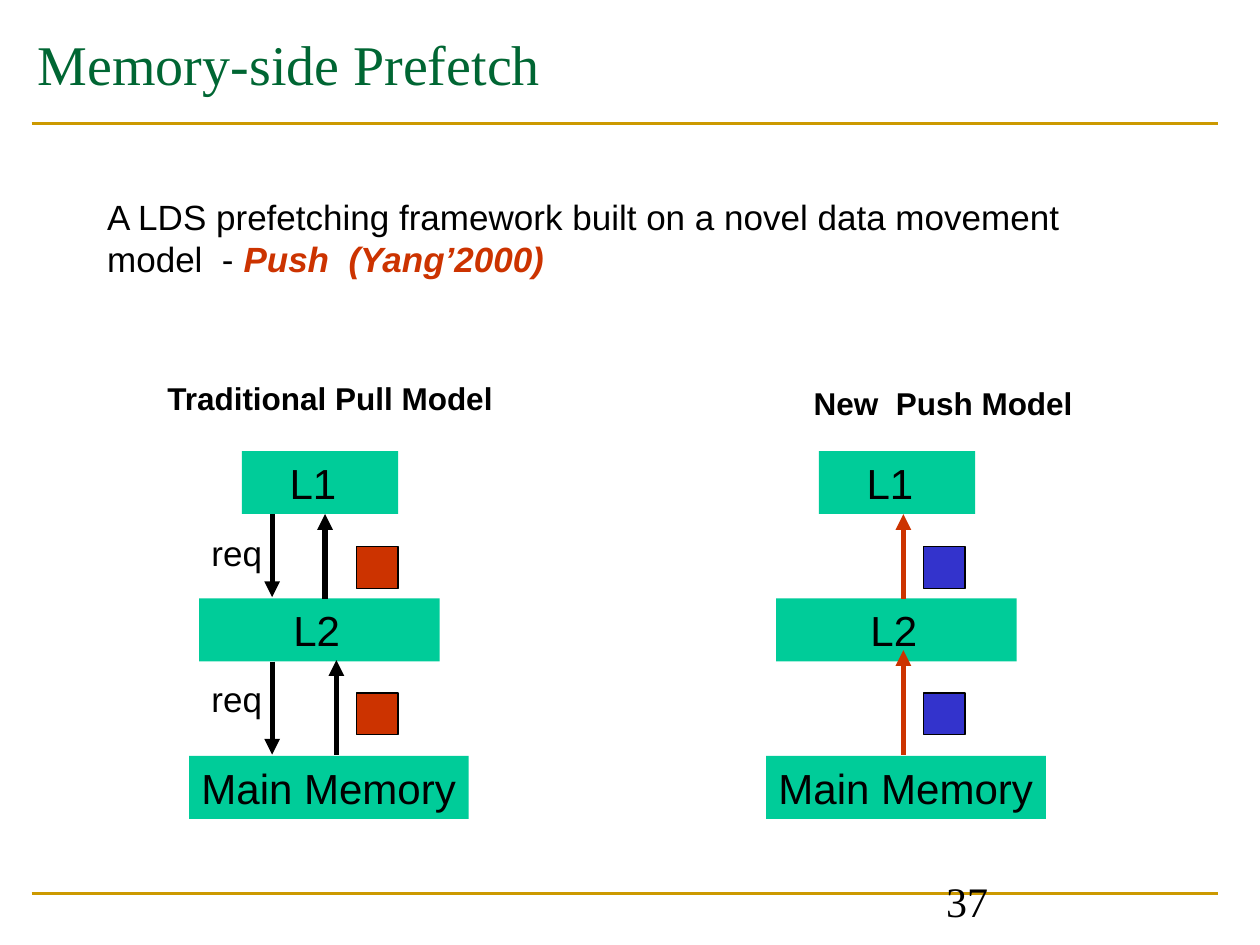
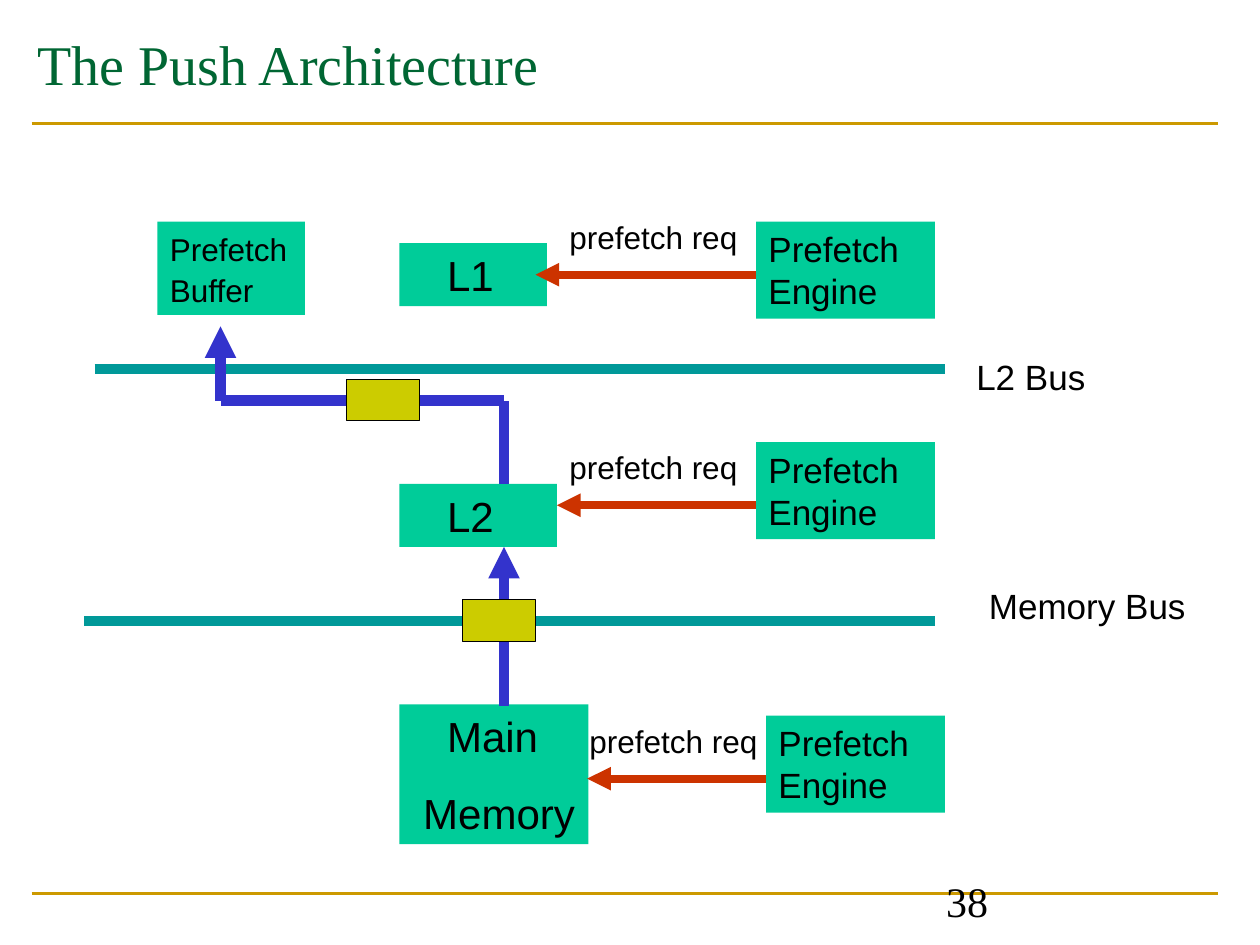
"""Build two slides on memory-side prefetching and the push architecture."""
from typing import NamedTuple

from lxml.etree import SubElement
from pptx import Presentation
from pptx.dml.color import RGBColor
from pptx.enum.shapes import MSO_CONNECTOR, MSO_SHAPE
from pptx.enum.text import MSO_ANCHOR, MSO_AUTO_SIZE, PP_ALIGN
from pptx.oxml.ns import qn
from pptx.slide import Slide
from pptx.text.text import Font, TextFrame, _Paragraph
from pptx.util import Inches, Pt

BLACK, GREEN, GOLD = "000000", "006633", "CC9900"
LEVEL, RED, BLUE, TEAL, YELLOW = "00CC99", "CC3300", "3333CC", "009999", "CCCC00"
SANS, SERIF = "Arial", "Times New Roman"
TITLE_ONLY, TITLE_AND_BODY = 5, 1


class Block(NamedTuple):
    """A filled block whose lines of text each have a left indent."""
    left: float
    top: float
    width: float
    height: float
    lines: tuple[str, ...]
    size: int = 24
    indents: tuple[float, ...] = (0,)
    pitch: float | None = None


class Line(NamedTuple):
    """A straight line, with an arrowhead at its end if wanted."""
    x1: float
    y1: float
    x2: float
    y2: float
    color: str
    weight: float
    arrow: bool = True


class Label(NamedTuple):
    """A one-line text on the slide."""
    left: float
    top: float
    width: float
    height: float
    text: str
    size: int = 20
    bold: bool = False
    face: str = SANS


class Packet(NamedTuple):
    """A small outlined block of data in transit."""
    left: float
    top: float
    width: float
    height: float
    color: str


RULES = [Line(0.25, y, 9.67, y, GOLD, 1.5, False) for y in (0.98, 7.09)]
HIERARCHY = [
    Block(1.92, 3.58, 1.24, 0.5, ("L1",), indents=(0.28,)),
    Block(1.58, 4.75, 1.91, 0.5, ("L2",), indents=(0.65,)),
    Block(1.5, 6, 2.22, 0.5, ("Main Memory",)),
]
PUSH_OFFSET = 4.58
PACKET_TOPS = (4.34, 5.5)


def rgb(color: str) -> RGBColor:
    """Turn a hex string into a colour."""
    return RGBColor.from_string(color)


def style(font: Font, size: float, color: str = BLACK, face: str = SANS, bold: bool = False) -> None:
    """Set the size, colour, face and weight of a font."""
    font.size, font.name, font.bold = Pt(size), face, bold
    font.color.rgb = rgb(color)


def indent(paragraph: _Paragraph, amount: float) -> None:
    """Indent a paragraph as a whole and give it no bullet."""
    properties = paragraph._p.get_or_add_pPr()
    properties.set("marL", str(Inches(amount)))
    properties.set("indent", "0")
    SubElement(properties, qn("a:buNone"))


def set_frame(frame: TextFrame, wrap: bool, anchor: MSO_ANCHOR = MSO_ANCHOR.TOP) -> None:
    """Set the wrapping and anchor of a text frame of fixed size."""
    frame.auto_size, frame.word_wrap = MSO_AUTO_SIZE.NONE, wrap
    frame.vertical_anchor = anchor


def add_line(slide: Slide, line: Line) -> None:
    """Draw a straight line or arrow."""
    ends = [Inches(value) for value in line[:4]]
    connector = slide.shapes.add_connector(MSO_CONNECTOR.STRAIGHT, *ends)
    connector.line.color.rgb = rgb(line.color)
    connector.line.width = Pt(line.weight)
    if line.arrow:
        SubElement(connector.line._get_or_add_ln(), qn("a:tailEnd"), type="triangle")
    SubElement(connector._element.spPr, qn("a:effectLst"))


def add_rectangle(slide: Slide, box: Block | Packet, fill: str):
    """Draw a plain filled rectangle."""
    shape = slide.shapes.add_shape(MSO_SHAPE.RECTANGLE, *map(Inches, box[:4]))
    shape.shadow.inherit = False
    shape.fill.solid()
    shape.fill.fore_color.rgb = rgb(fill)
    return shape


def add_block(slide: Slide, block: Block, offset: float = 0) -> None:
    """Draw a block with its text, moved right by the offset."""
    shape = add_rectangle(slide, block._replace(left=block.left + offset), LEVEL)
    shape.line.fill.background()
    frame = shape.text_frame
    set_frame(frame, True)
    frame.text = "\n".join(block.lines)
    for number, (paragraph, amount) in enumerate(zip(frame.paragraphs, block.indents)):
        indent(paragraph, amount)
        paragraph.alignment = PP_ALIGN.LEFT
        if number:
            paragraph.space_before = Pt(15)
        if block.pitch:
            paragraph.line_spacing = Pt(block.pitch)
        style(paragraph.font, block.size)


def add_packet(slide: Slide, packet: Packet) -> None:
    """Draw a packet with a thin black outline."""
    shape = add_rectangle(slide, packet, packet.color)
    shape.line.color.rgb = rgb(BLACK)
    shape.line.width = Pt(0.75)


def add_label(slide: Slide, label: Label, anchor: MSO_ANCHOR = MSO_ANCHOR.TOP) -> None:
    """Write a one-line label."""
    frame = slide.shapes.add_textbox(*map(Inches, label[:4])).text_frame
    set_frame(frame, label.face == SERIF, anchor)
    frame.text = label.text
    style(frame.paragraphs[0].font, label.size, face=label.face, bold=label.bold)


def place(placeholder, left: float, top: float, width: float, height: float) -> None:
    """Move a placeholder."""
    placeholder.left, placeholder.top = Inches(left), Inches(top)
    placeholder.width, placeholder.height = Inches(width), Inches(height)


def start_slide(prs: Presentation, layout: int, title: str, number: int) -> Slide:
    """Add a slide with its rules, title and page number."""
    slide = prs.slides.add_slide(prs.slide_layouts[layout])
    for rule in RULES:
        add_line(slide, rule)
    heading = slide.shapes.title
    place(heading, 0.2, 0, 5.7, 1)
    set_frame(heading.text_frame, True, MSO_ANCHOR.MIDDLE)
    heading.text_frame.text = title
    paragraph = heading.text_frame.paragraphs[0]
    paragraph.alignment = PP_ALIGN.LEFT
    style(paragraph.font, 32, GREEN, SERIF)
    page = Label(7.41, 6.91, 2.32, 0.49, str(number), 24, face=SERIF)
    add_label(slide, page, MSO_ANCHOR.BOTTOM)
    return slide


def build_prefetch_models(prs: Presentation) -> None:
    """Compare the pull and push models side by side."""
    slide = start_slide(prs, TITLE_AND_BODY, "Memory-side Prefetch", 37)
    body = slide.placeholders[1]
    place(body, 0.75, 1.5, 8.5, 5.33)
    set_frame(body.text_frame, True)
    summary = body.text_frame.paragraphs[0]
    indent(summary, 0)
    summary.space_before = Pt(0)
    summary.add_run().text = "A LDS prefetching framework built on a novel data movement model  - "
    style(summary.font, 20)
    push = summary.add_run()
    push.text = "Push  (Yang’2000)"
    style(push.font, 20, RED, bold=True)
    push.font.italic = True

    for offset in (0, PUSH_OFFSET):
        for block in HIERARCHY:
            add_block(slide, block, offset)
    for x1, y1, x2, y2, color in (
        (2.16, 4.08, 2.16, 4.74, BLACK),
        (2.16, 5.25, 2.16, 5.99, BLACK),
        (2.67, 5.99, 2.67, 5.24, BLACK),
        (2.58, 4.75, 2.58, 4.08, BLACK),
        (7.17, 5.99, 7.17, 5.16, RED),
        (7.17, 4.75, 7.17, 4.08, RED),
    ):
        add_line(slide, Line(x1, y1, x2, y2, color, 3))
    for left, color in ((2.83, RED), (7.33, BLUE)):
        for top in PACKET_TOPS:
            add_packet(slide, Packet(left, top, 0.33, 0.33, color))
    for label in (
        Label(1.58, 4.17, 0.6, 0.44, "req"),
        Label(1.58, 5.33, 0.6, 0.44, "req"),
        Label(1.23, 2.96, 2.79, 0.4, "Traditional Pull Model", 18, True),
        Label(6.36, 3, 2.26, 0.4, "New  Push Model", 18, True),
    ):
        add_label(slide, label)


def build_architecture(prs: Presentation) -> None:
    """Show the prefetch engines, the buses and the path of pushed data."""
    slide = start_slide(prs, TITLE_ONLY, "The Push Architecture", 38)
    for block in (
        Block(1.25, 1.76, 1.17, 0.74, ("Prefetch Buffer",), 18, pitch=23),
        Block(3.17, 1.93, 1.17, 0.5, ("L1",), indents=(0.28,)),
        Block(3.17, 3.84, 1.25, 0.5, ("L2",), indents=(0.28,)),
        Block(3.17, 5.59, 1.5, 1.11, ("Main", "Memory"), indents=(0.28, 0.09)),
    ):
        add_block(slide, block)
    for line in (
        Line(0.75, 2.93, 7.5, 2.93, TEAL, 6, False),
        Line(4, 3.84, 4, 3.18, BLUE, 6, False),
        Line(4, 3.18, 1.75, 3.18, BLUE, 6, False),
        Line(1.75, 3.18, 1.75, 2.59, BLUE, 6),
        Line(4, 5.6, 4, 4.34, BLUE, 6),
        Line(0.67, 4.93, 7.42, 4.93, TEAL, 6, False),
    ):
        add_line(slide, line)
    for engine_left, top, target, request_left, arrow_y in (
        (6, 1.76, 4.25, 4.42, 2.18),
        (6, 3.51, 4.42, 4.42, 4.01),
        (6.08, 5.68, 4.66, 4.58, 6.18),
    ):
        add_block(slide, Block(engine_left, top, 1.42, 0.77, ("Prefetch Engine",), 20))
        add_line(slide, Line(engine_left, arrow_y, target, arrow_y, RED, 4.5))
        request_top = min(top, arrow_y - 0.5)
        add_label(slide, Label(request_left, request_top, 1.53, 0.4, "prefetch req", 18))
    add_label(slide, Label(7.65, 2.77, 1.06, 0.44, "L2 Bus"))
    add_label(slide, Label(7.75, 4.59, 1.76, 0.44, "Memory Bus"))
    for left, top in ((3.67, 4.76), (2.75, 3.01)):
        add_packet(slide, Packet(left, top, 0.58, 0.33, YELLOW))


def main() -> None:
    """Build and save the presentation."""
    prs = Presentation()
    prs.slide_width, prs.slide_height = Inches(10), Inches(7.5)
    build_prefetch_models(prs)
    build_architecture(prs)
    prs.save("out.pptx")


if __name__ == "__main__":
    main()
